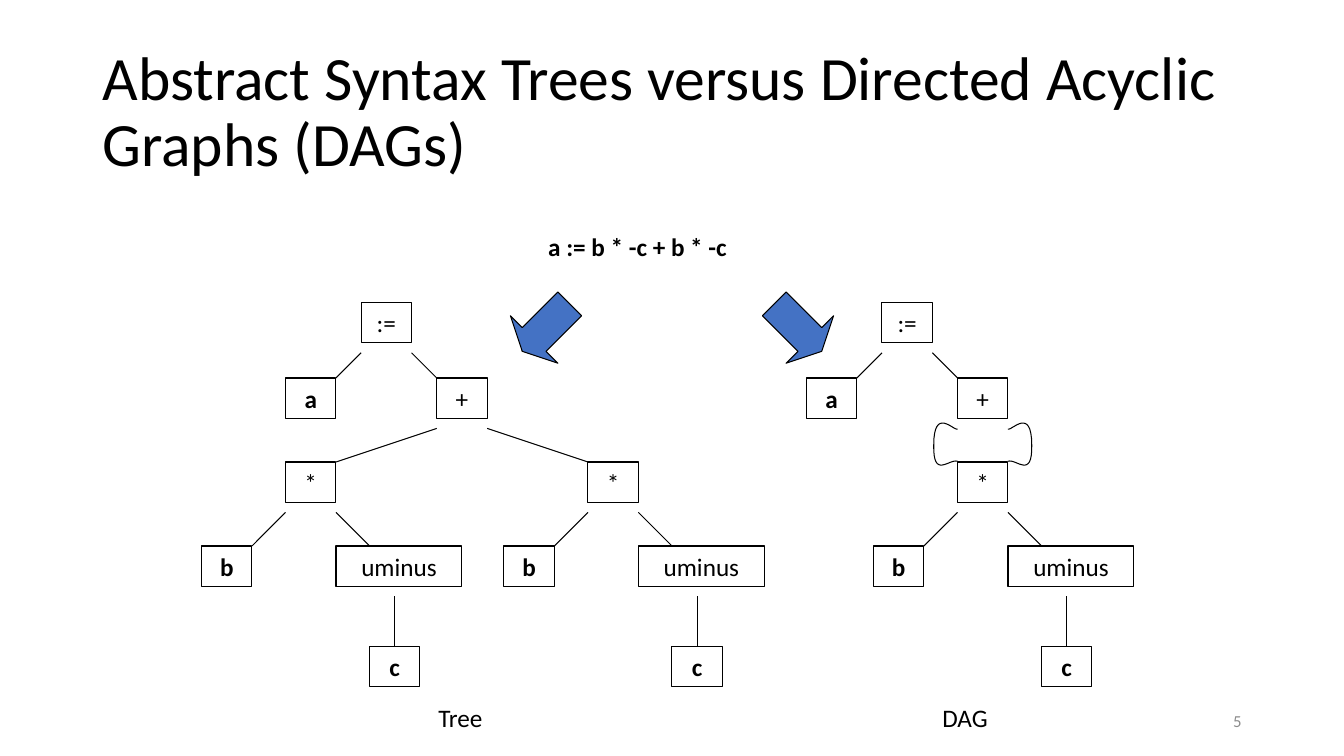
from lxml import etree
from pptx import Presentation, util as u
from pptx.dml.color import RGBColor
from pptx.enum import shapes, text
from pptx.oxml.ns import qn

BLACK = RGBColor(0x00, 0x00, 0x00)
GREY = RGBColor(0x8C, 0x8C, 0x8C)
BLUE = RGBColor(0x44, 0x72, 0xC4)
NODE_W, NODE_H = 36, 29

prs = Presentation()
prs.slide_width, prs.slide_height = u.Pt(960), u.Pt(540)
s = prs.slides.add_slide(prs.slide_layouts[5])


def write(sp, words, size=18, color=BLACK, bold=False, align=text.PP_ALIGN.LEFT,
          anchor=text.MSO_ANCHOR.TOP, wrap=True, fit=text.MSO_AUTO_SIZE.SHAPE_TO_FIT_TEXT):
    tf = sp.text_frame
    tf.text = words
    tf.word_wrap, tf.auto_size, tf.vertical_anchor = wrap, fit, anchor
    p = tf.paragraphs[0]
    p.alignment = align
    p.font.name, p.font.size, p.font.bold = "Calibri", u.Pt(size), bold
    p.font.color.rgb = color


def outline(sp):
    sp.line.color.rgb = BLACK
    sp.line.width = u.Pt(0.75)


# Title
title = s.shapes.title
title.left, title.top, title.width, title.height = u.Pt(66), u.Pt(28.75), u.Pt(828), u.Pt(104.5)
write(title, "Abstract Syntax Trees versus Directed Acyclic Graphs (DAGs)", size=44,
      anchor=text.MSO_ANCHOR.MIDDLE, fit=text.MSO_AUTO_SIZE.NONE)
title.text_frame.paragraphs[0].line_spacing = 0.9

# Slide number
number = s.shapes.add_textbox(u.Pt(678), u.Pt(500.5), u.Pt(216), u.Pt(28.75))
write(number, "5", size=12, color=GREY, align=text.PP_ALIGN.RIGHT,
      anchor=text.MSO_ANCHOR.MIDDLE, fit=text.MSO_AUTO_SIZE.NONE)

# Both graphs: left edge of the root, and of each product node
for root, products in ((258, (204, 420)), (630, (684,))):
    plus = root + 54
    nodes = [(":=", root, 216), ("a", root - 54, 270), ("+", plus, 270)]
    edges = [(root, 252, root - 18, 270), (root + NODE_W, 252, plus, 270)]
    if len(products) == 2:
        edges += [(plus, 306, products[0] + NODE_W, 330),
                  (plus + NODE_W, 306, products[1], 330)]
    for x in products:
        nodes += [("*", x, 330), ("b", x - 60, 390), ("uminus", x + 36, 390), ("c", x + 60, 461.5)]
        edges += [(x, 366, x - 24, 390), (x + NODE_W, 366, x + 60, 390),
                  (x + 78, 426, x + 78, 461.5)]

    graph = s.shapes.add_group_shape()
    tops = {}
    for label, x, y in nodes:
        width = 90 if label == "uminus" else NODE_W
        sp = graph.shapes.add_shape(shapes.MSO_SHAPE.RECTANGLE,
                                    u.Pt(x), u.Pt(y), u.Pt(width), u.Pt(NODE_H))
        sp.shadow.inherit = False
        sp.fill.background()
        outline(sp)
        write(sp, label, bold=label in "abc", align=text.PP_ALIGN.CENTER)
        tops[x + width / 2, y] = sp
    for x1, y1, x2, y2 in edges:
        line = graph.shapes.add_connector(shapes.MSO_CONNECTOR.STRAIGHT,
                                          u.Pt(x1), u.Pt(y1), u.Pt(x2), u.Pt(y2))
        outline(line)
        etree.SubElement(line._element.spPr, qn("a:effectLst"))
        if (x2, y2) in tops:
            line.end_connect(tops[x2, y2], 0)

    # A shared product hangs from "+" by two mirrored loops of two Bézier curves each
    if len(products) == 1:
        middle = plus + NODE_W / 2
        loop = [(18, 306.5), (20.5, 308), (35, 290), (35, 318),
                (35.5, 342.5), (24, 327.5), (18, 329.5)]
        for side in (1, -1):
            points = []
            for curve in (loop[:4], loop[3:]):
                for step in range(17):
                    t = step / 16
                    weights = ((1 - t) ** 3, 3 * t * (1 - t) ** 2, 3 * t * t * (1 - t), t ** 3)
                    dx, y = (sum(w * c[i] for w, c in zip(weights, curve)) for i in (0, 1))
                    points.append((u.Pt(middle + side * dx), u.Pt(y)))
            builder = graph.shapes.build_freeform(*points[0])
            builder.add_line_segments(points[1:], close=False)
            sp = builder.convert_to_shape()
            sp.shadow.inherit = False
            sp.fill.background()
            outline(sp)

# Captions and the assignment
for words, x, y, width, bold in (("Tree", 306, 498, 47, False), ("DAG", 666, 498, 47.5, False),
                                 ("a := b * -c + b * -c", 384.5, 162, 144, True)):
    box = s.shapes.add_textbox(u.Pt(x), u.Pt(y), u.Pt(width), u.Pt(NODE_H))
    write(box, words, bold=bold, wrap=False)

# Arrows from the assignment to each graph
for x, angle in ((546, 45), (366, 135)):
    arrow = s.shapes.add_shape(shapes.MSO_SHAPE.RIGHT_ARROW, u.Pt(x), u.Pt(210), u.Pt(48), u.Pt(48))
    arrow.adjustments[0], arrow.adjustments[1] = 0.5, 0.25
    arrow.rotation = angle
    arrow.shadow.inherit = False
    arrow.fill.solid()
    arrow.fill.fore_color.rgb = BLUE
    outline(arrow)

prs.save("out.pptx")
